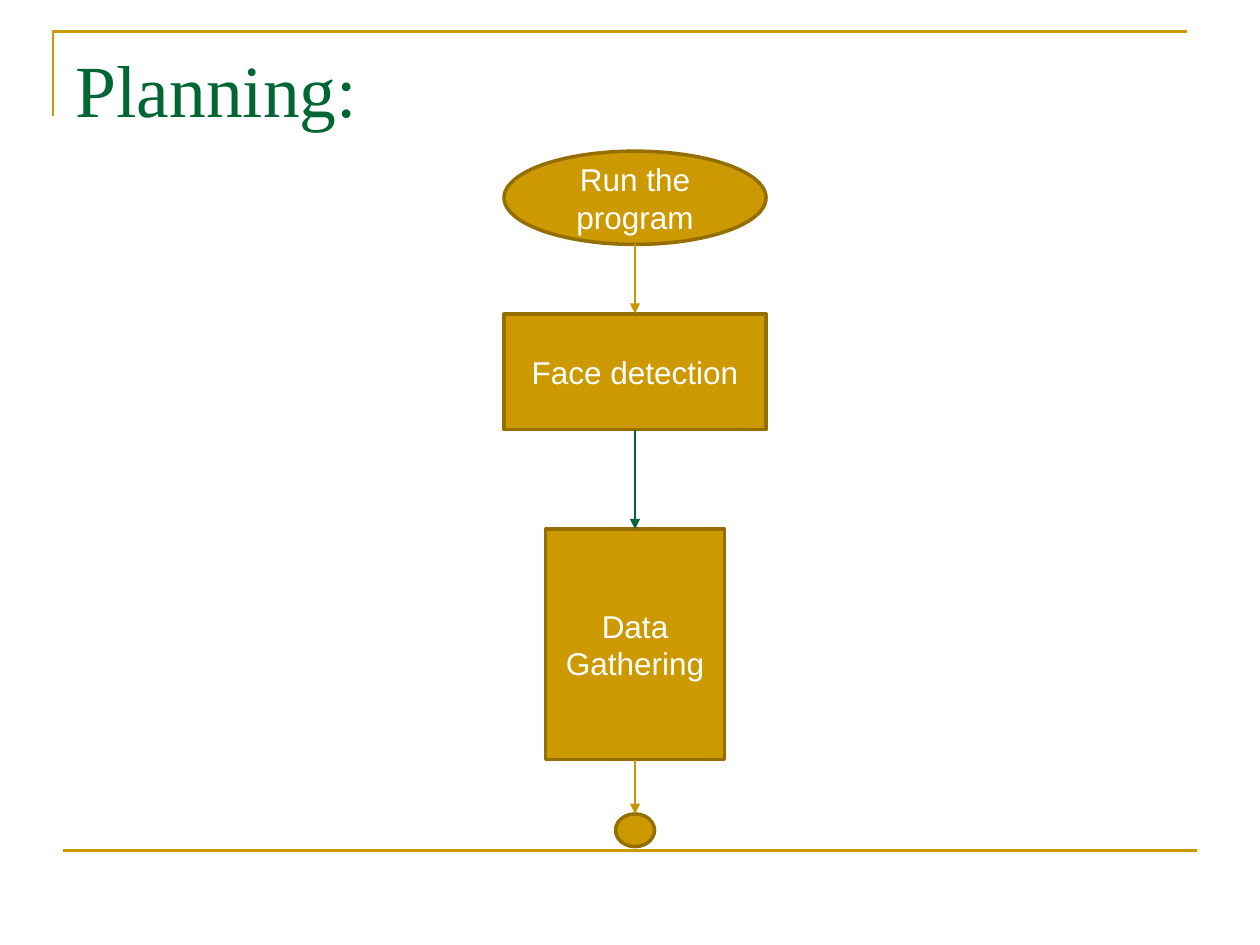
from pptx import Presentation
from pptx.dml.color import RGBColor
from pptx.enum import shapes, text
from pptx.oxml.ns import qn
from pptx.util import Inches, Pt
from lxml import etree

GOLD = RGBColor(0xCC, 0x99, 0x00)
DARK_GOLD = RGBColor(0x94, 0x6F, 0x00)
ARROW_GOLD = RGBColor(0xC8, 0x96, 0x00)
GREEN = RGBColor(0x00, 0x66, 0x33)
WHITE = RGBColor(0xFF, 0xFF, 0xFF)
CENTER = 5.04
TOP, BOTTOM = 0, 2

prs = Presentation()
prs.slide_width, prs.slide_height = Inches(10), Inches(7.5)
slide = prs.slides.add_slide(prs.slide_layouts[5])


def add_line(x1, y1, x2, y2, color, width):
    line = slide.shapes.add_connector(
        shapes.MSO_CONNECTOR.STRAIGHT, Inches(x1), Inches(y1), Inches(x2), Inches(y2))
    line.line.color.rgb = color
    line.line.width = Pt(width)
    etree.SubElement(line._element.spPr, qn("a:effectLst"))
    return line


# Frame: corner at the top left, rule at the bottom
builder = slide.shapes.build_freeform(Inches(0.42), Inches(0.92))
builder.add_line_segments(
    [(Inches(0.42), Inches(0.25)), (Inches(9.42), Inches(0.25))], close=False)
corner = builder.convert_to_shape()
corner.fill.background()
corner.line.color.rgb = GOLD
corner.line.width = Pt(1.5)
corner.shadow.inherit = False
add_line(0.5, 6.75, 9.5, 6.75, GOLD, 1.5)

# Title
title = slide.shapes.title
title.left, title.top = Inches(0.5), Inches(0.3)
title.width, title.height = Inches(9), Inches(1.25)
title.text_frame.vertical_anchor = text.MSO_ANCHOR.TOP
heading = title.text_frame.paragraphs[0]
heading.alignment = text.PP_ALIGN.LEFT
run = heading.add_run()
run.text = "Planning:"
run.font.name = "Times New Roman"
run.font.size = Pt(42)
run.font.color.rgb = GREEN

# Flowchart steps, centred on one axis: kind, label, top, width, height
OVAL, BOX = shapes.MSO_SHAPE.OVAL, shapes.MSO_SHAPE.RECTANGLE
steps = []
for kind, label, top, width, height in [
    (OVAL, "Run the program", 1.2, 2.08, 0.74),
    (BOX, "Face detection", 2.49, 2.08, 0.92),
    (BOX, "Data Gathering", 4.2, 1.42, 1.83),
    (OVAL, "", 6.46, 0.31, 0.26),
]:
    step = slide.shapes.add_shape(
        kind, Inches(CENTER - width / 2), Inches(top), Inches(width), Inches(height))
    step.shadow.inherit = False
    step.fill.solid()
    step.fill.fore_color.rgb = GOLD
    step.line.color.rgb = DARK_GOLD
    step.line.width = Pt(2)
    if label:
        step.text_frame.word_wrap = True
        step.text_frame.vertical_anchor = text.MSO_ANCHOR.MIDDLE
        caption = step.text_frame.paragraphs[0]
        caption.alignment = text.PP_ALIGN.CENTER
        run = caption.add_run()
        run.text = label
        run.font.name = "Arial"
        run.font.size = Pt(18)
        run.font.color.rgb = WHITE
    steps.append(step)

# Arrows from each step to the next
for source, target, color in zip(steps, steps[1:], [ARROW_GOLD, GREEN, ARROW_GOLD]):
    start = (source.top + source.height) / Inches(1)
    arrow = add_line(CENTER, start, CENTER, target.top / Inches(1), color, 0.75)
    if source.auto_shape_type == BOX:
        arrow.begin_connect(source, BOTTOM)
    arrow.end_connect(target, TOP)
    etree.SubElement(arrow.line._get_or_add_ln(), qn("a:tailEnd"), type="triangle")

prs.save("out.pptx")
